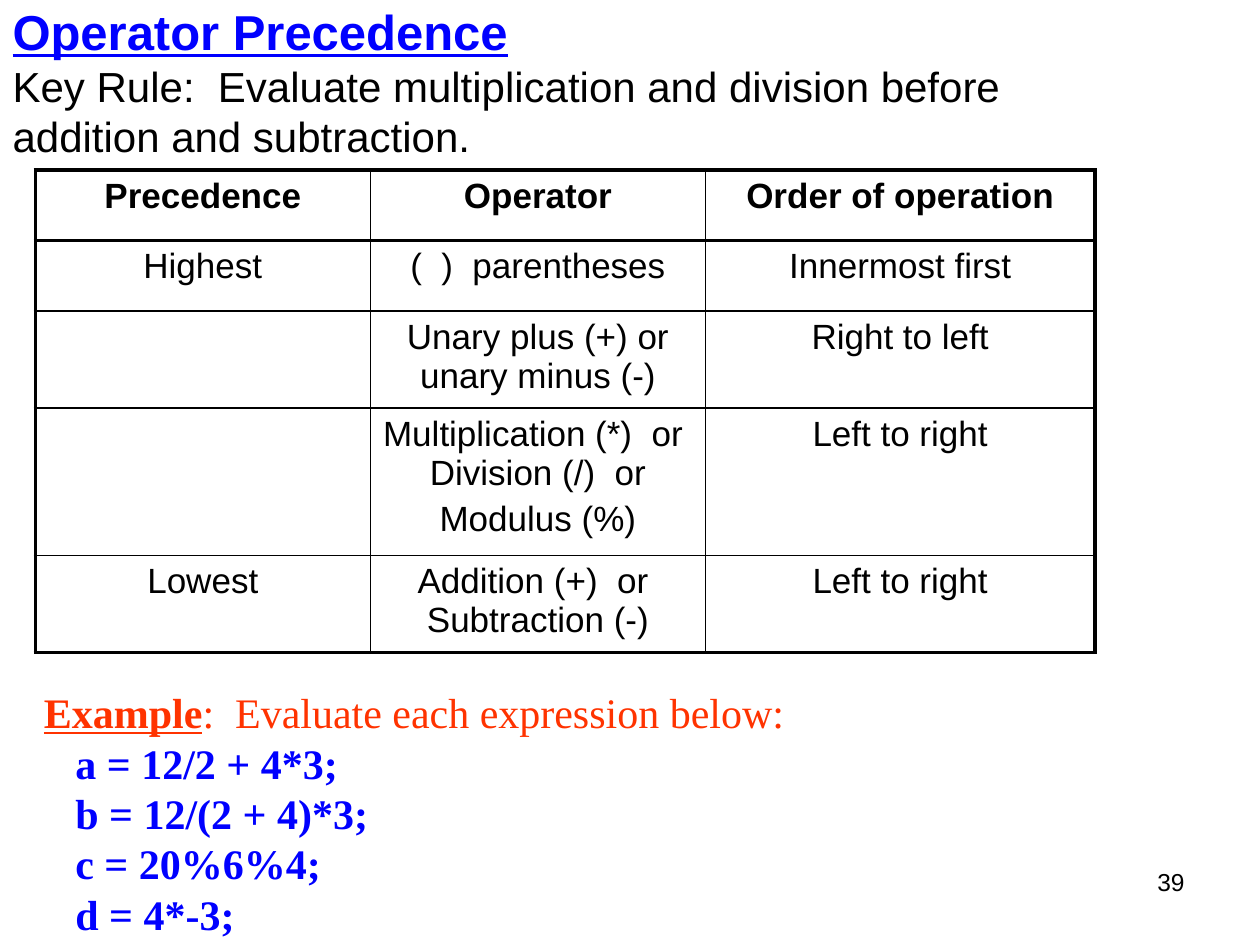
import dataclasses

import lxml.etree
import pptx
import pptx.dml.color
import pptx.enum.text
import pptx.oxml.ns
import pptx.util

Inches = pptx.util.Inches
Pt = pptx.util.Pt
Align = pptx.enum.text.PP_ALIGN
Anchor = pptx.enum.text.MSO_ANCHOR


@dataclasses.dataclass(frozen=True)
class Theme:
    sans: str = "Arial"
    serif: str = "Times New Roman"
    black: str = "000000"
    blue: str = "0000FF"
    orange: str = "FF3300"
    title: int = 28
    body: int = 24
    cell: int = 20
    number: int = 14
    thick: float = 2.25
    thin: float = 1


THEME = Theme()

COLUMN_WIDTHS = [2.66, 2.66, 3.09]
ROW_HEIGHTS = [0.56, 0.56, 0.77, 1.17, 0.77]
PRECEDENCE_ROWS = [
    ["Precedence", "Operator", "Order of operation"],
    ["Highest", "(  )  parentheses", "Innermost first"],
    ["", "Unary plus (+) or unary minus (-)", "Right to left"],
    ["", "Multiplication (*)  or  Division (/)  or\nModulus (%)", "Left to right"],
    ["Lowest", "Addition (+)  or  Subtraction (-)", "Left to right"],
]
EXPRESSIONS = ["a = 12/2 + 4*3;", "b = 12/(2 + 4)*3;", "c = 20%6%4;", "d = 4*-3;"]


def style(span, name, size, color, bold=False, underline=False):
    """Format the font of a run or paragraph."""
    font = span.font
    font.name, font.size = name, Pt(size)
    font.bold, font.underline = bold, underline
    font.color.rgb = pptx.dml.color.RGBColor.from_string(color)


def add_text_box(page, left, top, width, height):
    box = page.shapes.add_textbox(Inches(left), Inches(top), Inches(width), Inches(height))
    box.text_frame.word_wrap = True
    return box.text_frame


def add_title(page):
    title = page.shapes.title
    title.left, title.top = Inches(0), Inches(0)
    title.width, title.height = Inches(9), Inches(1.29)
    frame = title.text_frame
    frame.text = ("Operator Precedence\vKey Rule:  Evaluate multiplication and "
                  "division before addition and subtraction.")
    frame.auto_size = pptx.enum.text.MSO_AUTO_SIZE.NONE
    frame.vertical_anchor = Anchor.MIDDLE
    para = frame.paragraphs[0]
    para.alignment = Align.LEFT
    heading, rule = para.runs
    style(heading, THEME.sans, THEME.title, THEME.blue, bold=True, underline=True)
    style(rule, THEME.sans, THEME.body, THEME.black)


def set_borders(cell, widths):
    """Draw the cell's left, right, top and bottom lines, in that order."""
    properties = cell._tc.get_or_add_tcPr()
    qn = pptx.oxml.ns.qn
    for index, (side, width) in enumerate(zip(("lnL", "lnR", "lnT", "lnB"), widths)):
        line = lxml.etree.Element(qn(f"a:{side}"), w=str(Pt(width)))
        fill = lxml.etree.SubElement(line, qn("a:solidFill"))
        lxml.etree.SubElement(fill, qn("a:srgbClr"), val=THEME.black)
        properties.insert(index, line)


def add_precedence_table(page):
    last_row, last_column = len(ROW_HEIGHTS) - 1, len(COLUMN_WIDTHS) - 1
    table = page.shapes.add_table(
        len(ROW_HEIGHTS), len(COLUMN_WIDTHS), Inches(0.28), Inches(1.35),
        Inches(sum(COLUMN_WIDTHS)), Inches(sum(ROW_HEIGHTS))).table
    table.first_row = table.horz_banding = False
    for column, width in zip(table.columns, COLUMN_WIDTHS):
        column.width = Inches(width)
    for r, texts in enumerate(PRECEDENCE_ROWS):
        table.rows[r].height = Inches(ROW_HEIGHTS[r])
        for c, text in enumerate(texts):
            cell = table.cell(r, c)
            cell.text = text
            cell.fill.background()
            for index, para in enumerate(cell.text_frame.paragraphs):
                para.alignment = Align.CENTER
                para.space_before = Pt(4 if index else 0)
                style(para, THEME.sans, THEME.cell, THEME.black, bold=r == 0)
            # Thick outer frame and a thick line below the header
            heavy = (c == 0, c == last_column, r <= 1, r in (0, last_row))
            set_borders(cell, [THEME.thick if side else THEME.thin for side in heavy])


def add_example(page):
    frame = add_text_box(page, 0.25, 5.4, 8.67, 2.12)
    frame.text = "Example"
    intro = frame.paragraphs[0]
    intro.add_run().text = ":  Evaluate each expression below:"
    label, request = intro.runs
    style(label, THEME.serif, THEME.body, THEME.orange, bold=True, underline=True)
    style(request, THEME.serif, THEME.body, THEME.orange)
    for expression in EXPRESSIONS:
        para = frame.add_paragraph()
        para.text = expression
        para._p.get_or_add_pPr().set("marL", str(Inches(0.25)))
        style(para.runs[0], THEME.serif, THEME.body, THEME.blue, bold=True)


def add_page_number(page):
    frame = add_text_box(page, 7.17, 6.83, 2.33, 0.52)
    frame.text = "39"
    para = frame.paragraphs[0]
    para.alignment = Align.RIGHT
    style(para.runs[0], THEME.sans, THEME.number, THEME.black)


def main():
    deck = pptx.Presentation()
    deck.slide_width, deck.slide_height = Inches(10), Inches(7.5)
    page = deck.slides.add_slide(deck.slide_layouts.get_by_name("Title Only"))
    add_page_number(page)
    add_title(page)
    add_example(page)
    add_precedence_table(page)
    deck.save("out.pptx")


if __name__ == "__main__":
    main()
